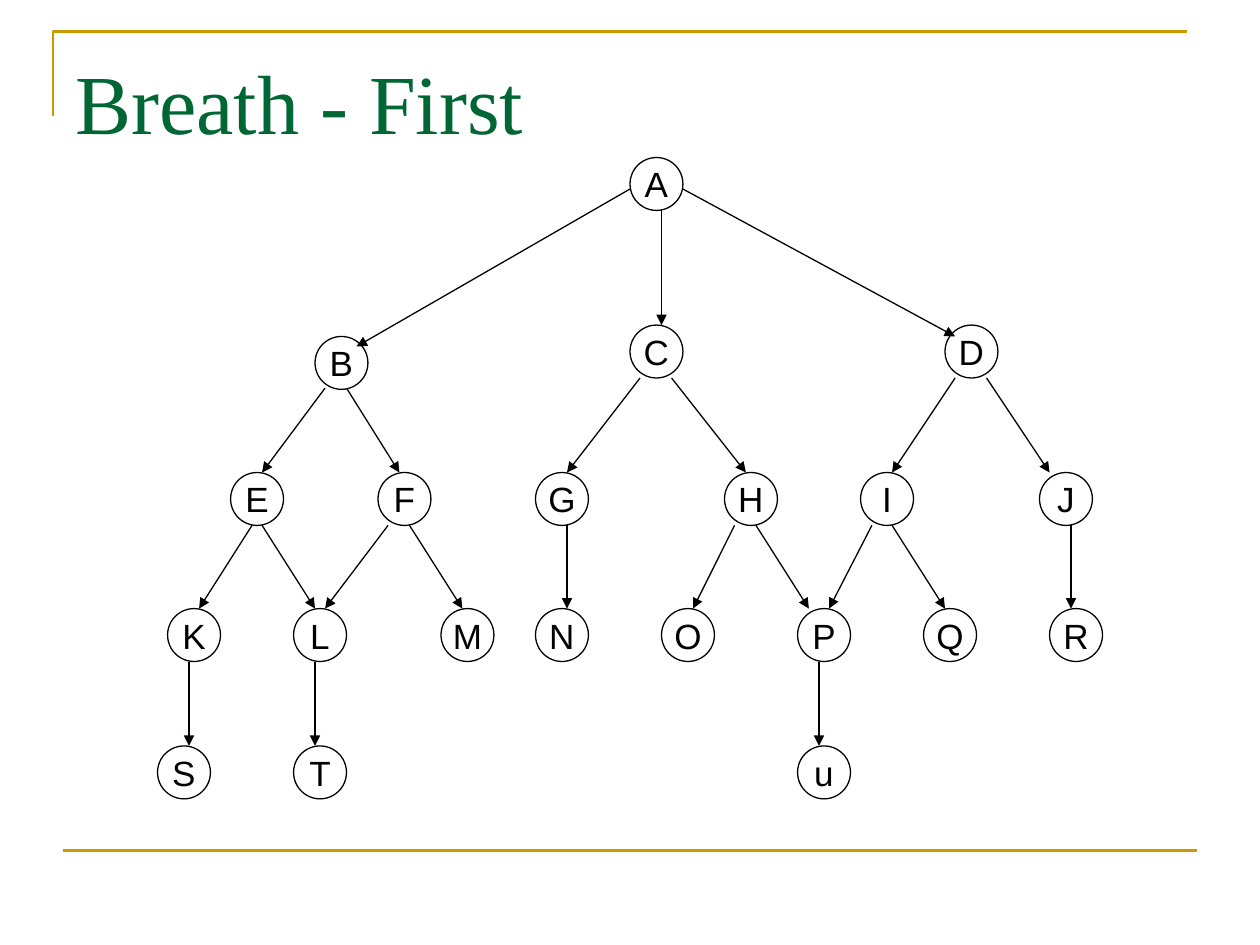
from typing import NamedTuple

from lxml import etree
from pptx import Presentation
from pptx.dml.color import RGBColor
from pptx.enum import shapes, text
from pptx.oxml import ns
from pptx.util import Inches, Pt

COLORS = {"rule": "CC9900", "title": "006633", "ink": "000000", "paper": "FFFFFF"}
NODE_SIZE = 0.42


class Level(NamedTuple):
    """Nodes that share one top edge, as (label, left) pairs."""
    top: float
    nodes: list[tuple[str, float]]


class EdgeGroup(NamedTuple):
    """Arrows between two heights, as (start x, end x) pairs."""
    top: float
    bottom: float
    spans: list[tuple[float, float]]


LEVELS = [
    Level(1.25, [("A", 5)]),
    Level(2.67, [("B", 2.5)]),
    Level(2.58, [("C", 5), ("D", 7.5)]),
    Level(3.75, [("E", 1.83), ("F", 3), ("G", 4.25), ("H", 5.75), ("I", 6.83), ("J", 8.25)]),
    Level(4.83, [("K", 1.33), ("L", 2.33), ("M", 3.5), ("N", 4.25),
                 ("O", 5.25), ("P", 6.33), ("Q", 7.33), ("R", 8.33)]),
    Level(5.92, [("S", 1.25), ("T", 2.33), ("u", 6.33)]),
]

EDGES = [
    EdgeGroup(1.5, 2.75, [(5, 2.83)]),
    EdgeGroup(1.67, 2.58, [(5.25, 5.25)]),
    EdgeGroup(1.5, 2.67, [(5.42, 7.58)]),
    EdgeGroup(3.08, 3.75, [(2.58, 2.08), (2.75, 3.17)]),
    EdgeGroup(3, 3.75, [(5.08, 4.5), (5.33, 5.92), (7.58, 7.08), (7.83, 8.33)]),
    EdgeGroup(4.17, 4.83, [(2, 1.58), (2.08, 2.5), (3.08, 2.58), (3.25, 3.67), (4.5, 4.5),
                           (5.83, 5.5), (6, 6.42), (6.92, 6.58), (7.08, 7.5), (8.5, 8.5)]),
    EdgeGroup(5.25, 5.92, [(1.5, 1.5), (2.5, 2.5), (6.5, 6.5)]),
]


def color(name: str) -> RGBColor:
    return RGBColor.from_string(COLORS[name])


def style_line(shape, name: str, width: float) -> None:
    shape.line.color.rgb = color(name)
    shape.line.width = Pt(width)


def style_text(para, font_name: str, size: float, name: str) -> None:
    for span in para.runs:
        span.font.name = font_name
        span.font.size = Pt(size)
        span.font.color.rgb = color(name)


def add_line(page, x1: float, y1: float, x2: float, y2: float, name: str, width: float):
    line = page.shapes.add_connector(
        shapes.MSO_CONNECTOR.STRAIGHT, Inches(x1), Inches(y1), Inches(x2), Inches(y2))
    style_line(line, name, width)
    etree.SubElement(line._element.spPr, ns.qn("a:effectLst"))
    return line


def add_arrow(page, x1: float, y1: float, x2: float, y2: float) -> None:
    arrow = add_line(page, x1, y1, x2, y2, "ink", 0.75)
    outline = arrow.line._get_or_add_ln()
    etree.SubElement(outline, ns.qn("a:tailEnd"), type="triangle")


def add_node(page, label: str, left: float, top: float) -> None:
    node = page.shapes.add_shape(
        shapes.MSO_SHAPE.OVAL, Inches(left), Inches(top), Inches(NODE_SIZE), Inches(NODE_SIZE))
    node.shadow.inherit = False
    node.fill.solid()
    node.fill.fore_color.rgb = color("paper")
    style_line(node, "ink", 0.75)
    frame = node.text_frame
    frame.word_wrap = False
    frame.vertical_anchor = text.MSO_ANCHOR.MIDDLE
    frame.text = label
    para = frame.paragraphs[0]
    para.alignment = text.PP_ALIGN.CENTER
    style_text(para, "Arial", 20, "ink")


def add_frame(page) -> None:
    builder = page.shapes.build_freeform(Inches(0.42), Inches(0.92))
    builder.add_line_segments(
        [(Inches(0.42), Inches(0.25)), (Inches(9.42), Inches(0.25))], close=False)
    corner = builder.convert_to_shape()
    corner.shadow.inherit = False
    corner.fill.background()
    style_line(corner, "rule", 1.5)
    add_line(page, 0.5, 6.75, 9.5, 6.75, "rule", 1.5)


def set_title(page, wording: str) -> None:
    title = page.shapes.title
    title.left, title.top = Inches(0.5), Inches(0.3)
    title.width, title.height = Inches(9), Inches(0.95)
    frame = title.text_frame
    frame.text = wording
    frame.word_wrap = True
    frame.auto_size = text.MSO_AUTO_SIZE.NONE
    frame.vertical_anchor = text.MSO_ANCHOR.BOTTOM
    para = frame.paragraphs[0]
    para.alignment = text.PP_ALIGN.LEFT
    style_text(para, "Times New Roman", 48, "title")


def main() -> None:
    deck = Presentation()
    deck.slide_width, deck.slide_height = Inches(10), Inches(7.5)
    page = deck.slides.add_slide(deck.slide_layouts[5])

    # Title and decorative rules
    add_frame(page)
    set_title(page, "Breath - First")

    # Tree nodes
    for level in LEVELS:
        for label, left in level.nodes:
            add_node(page, label, left, level.top)

    # Arrows from parents to children
    for group in EDGES:
        for start, end in group.spans:
            add_arrow(page, start, group.top, end, group.bottom)

    deck.save("out.pptx")


if __name__ == "__main__":
    main()
